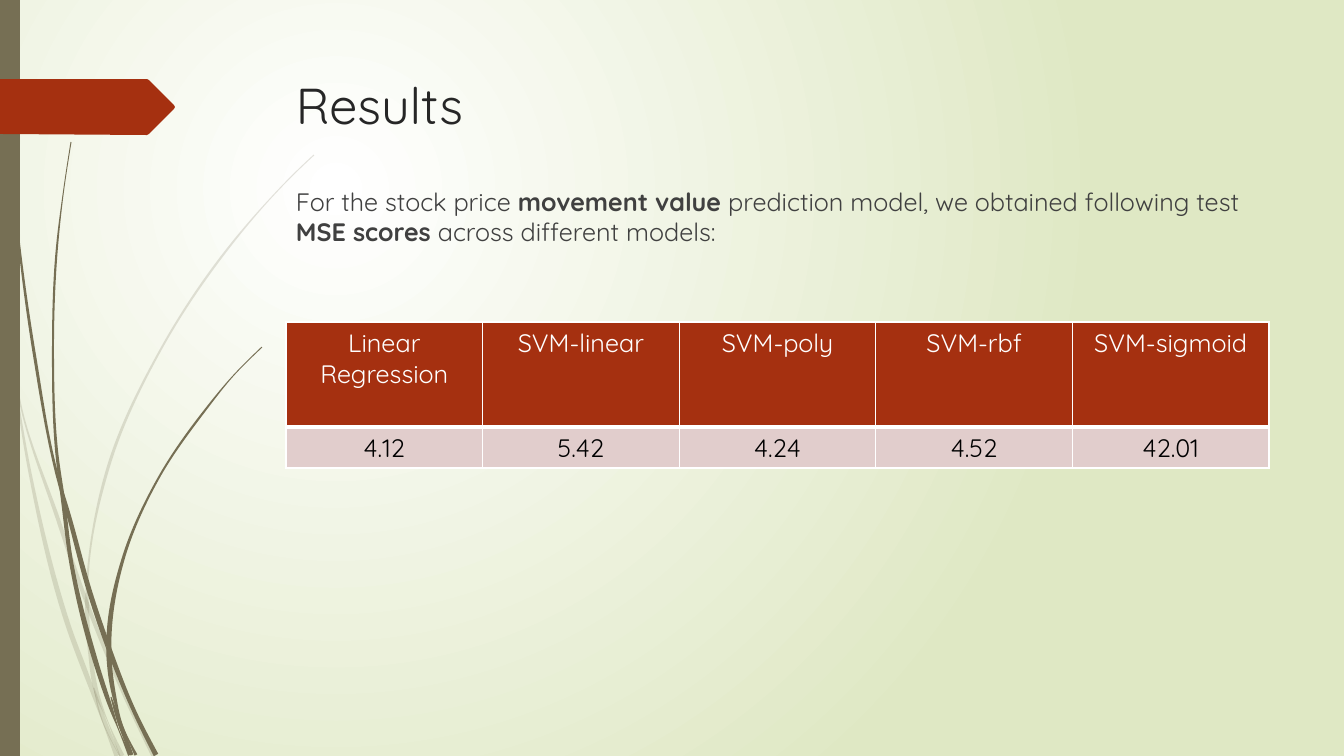
import dataclasses
import math

import lxml.etree
import pptx
import pptx.dml.color
import pptx.enum.text
import pptx.enum.shapes
import pptx.oxml
import pptx.oxml.ns
import pptx.util

EMU_PER_PX = 12192000 / 1344


@dataclasses.dataclass(frozen=True)
class Theme:
    """Colours, font and type sizes of the slide."""
    font: str = "Quicksand"
    title_size: int = 36
    body_size: int = 18
    title: str = "262626"
    body: str = "404040"
    accent: str = "A53010"
    stem: str = "766F54"
    pale_cell: str = "E1CDCC"
    white: str = "FFFFFF"
    black: str = "000000"
    backdrop: str = "DFE8C4"


THEME = Theme()

LIGHT_STEMS = [
    [[(0, 293, 3), (9, 335, 2), (14, 360, 3)], [(17, 385, 2), (60, 525, 4), (85, 598, 4)],
     [(126, 698, 4), (154, 756, 5)]],
    [[(11, 353, 1), (30, 473, 3), (68, 625, 5), (93, 693, 4), (102, 720, 1)], [(117, 756, 5)]],
    [[(314, 155, 1), (292, 176, 1), (270, 199, 1), (230, 246, 2), (160, 351, 2),
      (109, 465, 3), (87, 594, 3)], [(87, 608, 4)],
     [(90, 651, 4), (98, 697, 4), (106, 717, 1)], [(122, 756, 5)]],
    [[(94, 688, 1), (101, 712, 4), (120, 756, 1)]],
]
DARK_STEMS = [
    [[(4, 0, 1), (8, 110, 1), (18, 234, 2), (35, 358, 3), (58, 478, 3)],
     [(67, 509, 4), (91, 596, 5), (108, 646, 5)], [(135, 713, 4), (156, 755, 5)]],
    [[(71, 142, 1), (63, 195, 1), (57, 247, 2), (53, 352, 2), (57, 455, 3)], [(63, 500, 4)],
     [(71, 561, 4), (96, 663, 5), (113, 714, 3), (118, 728, 1)], [(130, 755, 4)]],
    [[(262, 347, 1), (233, 376, 1), (206, 409, 2), (158, 479, 2), (124, 556, 3),
      (109, 637, 5)], [(109, 656, 5)], [(114, 695, 4), (122, 724, 1)], [(136, 755, 3)]],
    [[(111, 697, 1), (119, 721, 4), (132, 755, 3)]],
]
TAB = [(0, 79), (147, 79), (149, 80), (174, 105), (175, 107), (174, 109),
       (149, 134), (147, 135), (0, 134)]


def px(length):
    """Turn px into EMU."""
    return pptx.util.Emu(round(length * EMU_PER_PX))


def color(value):
    """Turn a hex value into a colour."""
    return pptx.dml.color.RGBColor.from_string(value)


def paint(shape, value, opacity=100):
    """Fill a shape plainly, with no line or shadow."""
    shape.shadow.inherit = False
    shape.line.fill.background()
    shape.fill.solid()
    shape.fill.fore_color.rgb = color(value)
    if opacity < 100:
        fill = shape.fill._xPr.find(".//" + pptx.oxml.ns.qn("a:srgbClr"))
        lxml.etree.SubElement(fill, pptx.oxml.ns.qn("a:alpha"), val=str(opacity * 1000))


def style(paragraph, size, value):
    """Set the font of a paragraph."""
    paragraph.font.name = THEME.font
    paragraph.font.size = pptx.util.Pt(size)
    paragraph.font.color.rgb = color(value)


def add_backdrop(slide):
    """Give the slide its radial gradient."""
    fill = slide.background.fill
    fill.gradient()
    for stop, position, value in zip(fill.gradient_stops, (0, 1), (THEME.white, THEME.backdrop)):
        stop.position = position
        stop.color.rgb = color(value)
    gradient = slide._element.find(".//" + pptx.oxml.ns.qn("a:gradFill"))
    gradient.remove(gradient.find(pptx.oxml.ns.qn("a:lin")))
    circle = lxml.etree.SubElement(gradient, pptx.oxml.ns.qn("a:path"), path="circle")
    lxml.etree.SubElement(circle, pptx.oxml.ns.qn("a:fillToRect"),
                          l="50000", t="50000", r="100000", b="100000")


def mix(first, second, a, b):
    """Return a weighted sum of two points."""
    return tuple(a * p + b * q for p, q in zip(first, second))


def slopes(points):
    """Return the tangent of a smooth curve at each of its points."""
    gaps = [math.dist(p, q) for p, q in zip(points, points[1:])]
    chords = [mix(q, p, 1 / gap, -1 / gap) for p, q, gap in zip(points, points[1:], gaps)]
    inner = [mix(p, q, b / (a + b), a / (a + b))
             for p, q, a, b in zip(chords, chords[1:], gaps, gaps[1:])]
    if not inner:
        return chords * 2
    return [mix(chords[0], inner[0], 1.5, -0.5), *inner, mix(chords[-1], inner[-1], 1.5, -0.5)]


def curve_through(points, tangents):
    """Return two controls and an end for each gap between the points."""
    curve = []
    for p, q, start, end in zip(points, points[1:], tangents, tangents[1:]):
        third = math.dist(p, q) / 3
        curve += [mix(p, start, 1, third), mix(q, end, 1, -third), q]
    return curve


def add_outline(slide, points):
    """Draw a closed outline through px points."""
    outline = [(px(x), px(y)) for x, y in points]
    builder = slide.shapes.build_freeform(*outline[0])
    builder.add_line_segments(outline[1:], close=True)
    return builder.convert_to_shape()


def bend(shape):
    """Join each three line segments of a shape into one cubic curve."""
    lines = list(shape._element.iter(pptx.oxml.ns.qn("a:lnTo")))
    for group in zip(lines[::3], lines[1::3], lines[2::3]):
        cubic = lxml.etree.Element(pptx.oxml.ns.qn("a:cubicBezTo"))
        group[0].addprevious(cubic)
        for line in group:
            cubic.append(line[0])
            line.getparent().remove(line)


def add_stem(slide, left, top, pieces, opacity):
    """Draw one tapered stem, each piece starting where the last one ends."""
    knots = [knot for piece in pieces for knot in piece]
    centers = [(left + x, top + y) for x, y, width in knots]
    edges = []
    for side in (-0.5, 0.5):
        edge = [mix(center, (-rise, run), 1, side * width / math.hypot(run, rise))
                for center, (run, rise), (x, y, width) in zip(centers, slopes(centers), knots)]
        edges.append((edge, slopes(edge)))
    start, end = 0, 0
    for piece in pieces:
        end += len(piece)
        (near, near_slopes), (far, far_slopes) = [
            (edge[start:end], tangents[start:end]) for edge, tangents in edges]
        back = [mix(tangent, tangent, -1, 0) for tangent in far_slopes[::-1]]
        shape = add_outline(slide, [near[0], *curve_through(near, near_slopes),
                                    near[-1], far[-1], far[-1],
                                    *curve_through(far[::-1], back)])
        bend(shape)
        paint(shape, THEME.stem, opacity)
        start = end - 1


def add_side_decoration(slide, left, top, height):
    """Draw the stems, the side bar and the arrow tab."""
    for stems, opacity in ((LIGHT_STEMS, 20), (DARK_STEMS, 100)):
        for pieces in stems:
            add_stem(slide, left, top, pieces, opacity)
    bar = slide.shapes.add_shape(pptx.enum.shapes.MSO_SHAPE.RECTANGLE,
                                 px(left), px(top), px(20), px(height))
    paint(bar, THEME.stem)
    paint(add_outline(slide, [(left + x, top + y) for x, y in TAB]), THEME.accent)


def add_text(slide, left, top, width, height, runs, size, value):
    """Place one paragraph made of text and bold pairs."""
    box = slide.shapes.add_textbox(px(left), px(top), px(width), px(height))
    box.text_frame.word_wrap = True
    paragraph = box.text_frame.paragraphs[0]
    style(paragraph, size, value)
    for text, bold in runs:
        run = paragraph.add_run()
        run.text = text
        run.font.bold = bold


def add_border(cell, side, points):
    """Draw a white border on one side of a cell."""
    line = lxml.etree.SubElement(cell._tc.get_or_add_tcPr(), pptx.oxml.ns.qn("a:" + side),
                                 w=str(pptx.util.Pt(points)))
    fill = lxml.etree.SubElement(line, pptx.oxml.ns.qn("a:solidFill"))
    lxml.etree.SubElement(fill, pptx.oxml.ns.qn("a:srgbClr"), val=THEME.white)


def add_score_table(slide, left, top, width, height, scores):
    """Place the table of models and their scores."""
    heights = (height - 41, 41)
    table = slide.shapes.add_table(2, len(scores), px(left), px(top), px(width), px(height)).table
    table.horz_banding = False
    looks = ((THEME.accent, THEME.white, 1, 3), (THEME.pale_cell, THEME.black, 3, 1))
    for row, (background, ink, above, below) in enumerate(looks):
        table.rows[row].height = px(heights[row])
        for column, entry in enumerate(scores):
            table.columns[column].width = px(width / len(scores))
            cell = table.cell(row, column)
            for side, points in (("lnL", 1), ("lnR", 1), ("lnT", above), ("lnB", below)):
                add_border(cell, side, points)
            cell.fill.solid()
            cell.fill.fore_color.rgb = color(background)
            cell.text = entry[row]
            for paragraph in cell.text_frame.paragraphs:
                paragraph.alignment = pptx.enum.text.PP_ALIGN.CENTER
                style(paragraph, THEME.body_size, ink)
                paragraph.font.bold = False


def main():
    """Build the results slide."""
    presentation = pptx.Presentation()
    presentation.slide_width, presentation.slide_height = px(1344), px(756)
    slide = presentation.slides.add_slide(presentation.slide_layouts[6])
    add_backdrop(slide)
    add_side_decoration(slide, 0, 0, 756)
    add_text(slide, 286, 69, 983, 141, [("Results", False)], THEME.title_size, THEME.title)
    add_text(slide, 286, 181, 1002, 88, [
        ("For the stock price ", False), ("movement value ", True),
        ("prediction model, we obtained following test ", False),
        ("MSE scores ", True), ("across different models:", False),
    ], THEME.body_size, THEME.body)
    add_score_table(slide, 286, 322, 983, 146, [
        ("Linear\nRegression", "4.12"), ("SVM-linear", "5.42"), ("SVM-poly", "4.24"),
        ("SVM-rbf", "4.52"), ("SVM-sigmoid", "42.01")])
    presentation.save("out.pptx")


if __name__ == "__main__":
    main()
